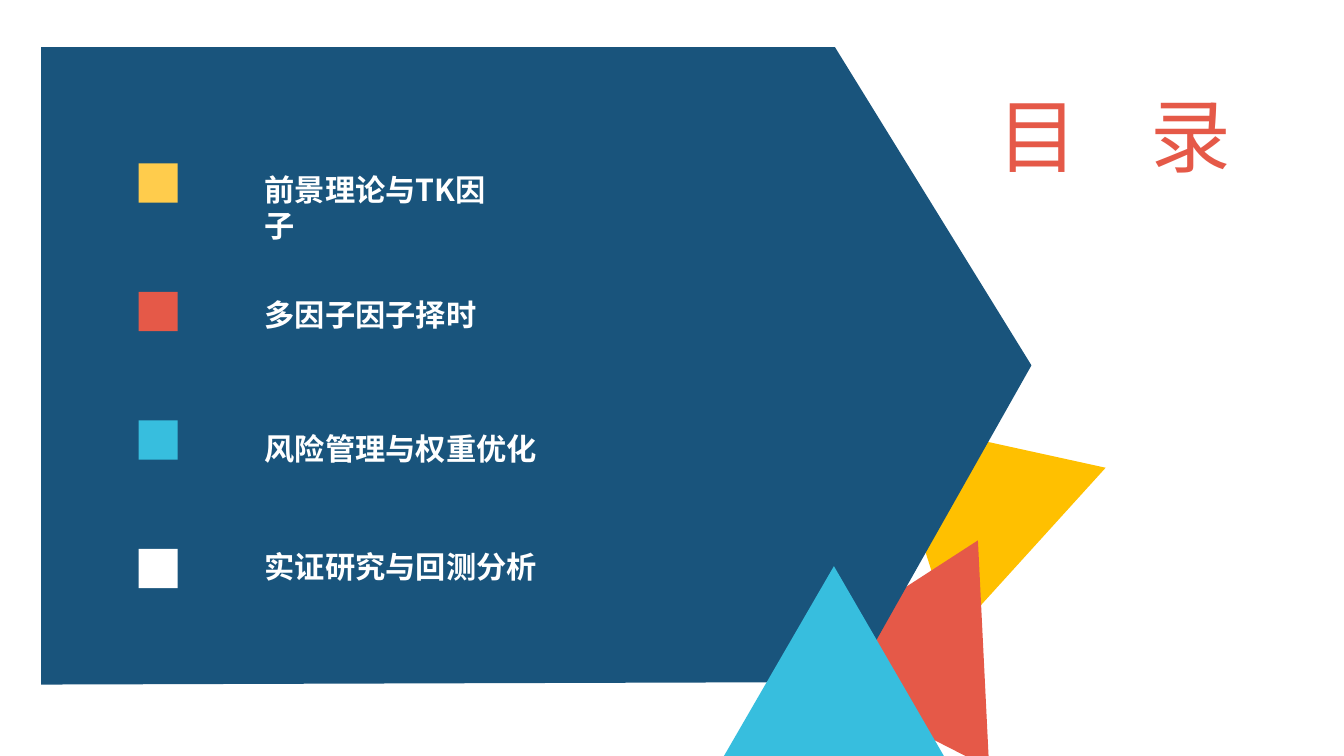
from dataclasses import dataclass

from lxml.etree import SubElement as Sub
from pptx import Presentation
from pptx.dml.color import RGBColor as RGB
from pptx.enum.shapes import MSO_SHAPE as Kind
from pptx.enum.text import MSO_ANCHOR as Anchor, MSO_AUTO_SIZE as Auto, PP_ALIGN as Align
from pptx.oxml.ns import qn
from pptx.util import Pt


@dataclass(frozen=True)
class Theme:
    face: str = "Noto Sans CJK SC"
    navy: str = "19547C"
    red: str = "E55948"
    blue: str = "37BEDE"
    gold: str = "FFC000"
    sand: str = "FFCC4C"
    white: str = "FFFFFF"
    head: int = 48
    item: int = 18


class Deck:
    def __init__(self, theme, size):
        self.theme = theme
        self.file = Presentation()
        self.file.slide_width, self.file.slide_height = map(Pt, size)
        self.slide = self.file.slides.add_slide(self.file.slide_layouts[1])

    def paint(self, shape, color):
        shape.shadow.inherit = False
        shape.fill.solid()
        shape.fill.fore_color.rgb = RGB.from_string(color)
        shape.line.fill.background()

    def shape(self, kind, box, color, turn=0):
        shape = self.slide.shapes.add_shape(kind, *map(Pt, box))
        shape.rotation = turn
        self.paint(shape, color)

    def outline(self, points, color):
        first, *rest = [(Pt(x), Pt(y)) for x, y in points]
        pen = self.slide.shapes.build_freeform(*first)
        pen.add_line_segments(rest, close=True)
        self.paint(pen.convert_to_shape(), color)

    def place(self, holder, box):
        """Move a placeholder to the front and clear its frame defaults."""
        for name, value in zip(("left", "top", "width", "height"), box):
            setattr(holder, name, Pt(value))
        self.slide.shapes._spTree.append(holder._element)
        frame = holder.text_frame
        look = dict(margin_left=0, margin_right=0, margin_top=0, margin_bottom=0,
                    word_wrap=True, auto_size=Auto.NONE, vertical_anchor=Anchor.TOP)
        for name, value in look.items():
            setattr(frame, name, value)
        return frame

    def fill(self, para, text, line, gap, look, color):
        """Fill a paragraph, without a bullet, at a fixed line height."""
        props = para._p.get_or_add_pPr()
        props.set("marL", "0")
        props.set("indent", "0")
        Sub(props, qn("a:buNone"))
        rule = dict(alignment=Align.LEFT, line_spacing=Pt(line),
                    space_before=Pt(gap), space_after=Pt(0))
        for name, value in rule.items():
            setattr(para, name, value)
        para.text = text
        for run in para.runs:
            self.style(run, look, color)

    def style(self, run, look, color):
        for name, value in dict(look, name=self.theme.face).items():
            setattr(run.font, name, value)
        run.font.color.rgb = RGB.from_string(color)
        Sub(run._r.get_or_add_rPr(), qn("a:ea"), typeface=self.theme.face)

    def title(self, first, last, space, box):
        """Set two characters, held apart by one widened space."""
        look = dict(size=Pt(self.theme.head), bold=False)
        para = self.place(self.slide.shapes.title, box).paragraphs[0]
        self.fill(para, first, 57.5, 0, look, self.theme.red)
        for text in (" ", last):
            run = para.add_run()
            run.text = text
            self.style(run, look, self.theme.red)
        para.runs[1]._r.get_or_add_rPr().set("spc", str(space * 100))

    def list(self, items, box):
        look = dict(size=Pt(self.theme.item), bold=True)
        frame = self.place(self.slide.placeholders[1], box)
        for i, (text, gap) in enumerate(items):
            para = frame.add_paragraph() if i else frame.paragraphs[0]
            self.fill(para, text, 21.5, gap, look, self.theme.white)


def main():
    theme = Theme()
    deck = Deck(theme, (800, 450))
    wide, high = 136, 117.4

    deck.shape(Kind.ISOSCELES_TRIANGLE, (534.2, 237.6, wide, high), theme.gold, 72.3)
    deck.shape(Kind.ISOSCELES_TRIANGLE, (488.9, 349.2, wide, high), theme.red, 147.1)
    deck.outline([(24.5, 28), (497, 28), (614, 217.5), (507.6, 406), (24.5, 407.5)],
                 theme.navy)
    for i, color in enumerate((theme.sand, theme.red, theme.blue, theme.white)):
        deck.shape(Kind.RECTANGLE, (82.5, 97.3 + 76.5 * i, 23.3, 23.3), color)
    deck.list([("前景理论与TK因\v子", 0), ("多因子因子择时", 31.8),
               ("风险管理与权重优化", 57.9), ("实证研究与回测分析", 49)],
              (157.5, 101.8, 200, 250))
    deck.title("目", "录", 32, (594, 51.3, 180, 60))
    deck.shape(Kind.ISOSCELES_TRIANGLE, (428.4, 337, wide, high), theme.blue)
    deck.file.save("out.pptx")


if __name__ == "__main__":
    main()
